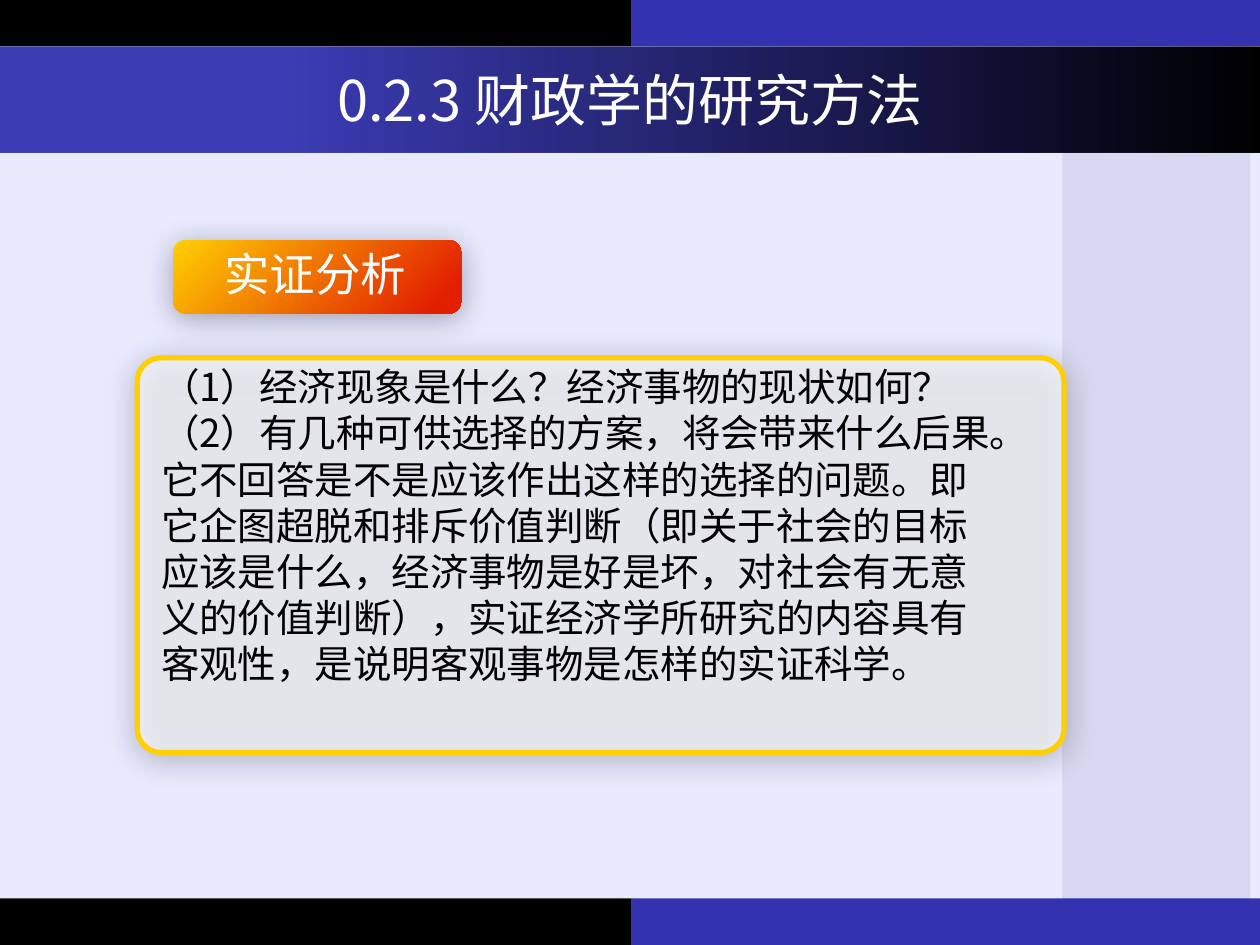
from dataclasses import dataclass

from lxml import etree
from pptx import Presentation
from pptx.dml.color import RGBColor
from pptx.enum.shapes import MSO_SHAPE
from pptx.enum.text import MSO_ANCHOR, PP_ALIGN
from pptx.oxml.ns import qn
from pptx.util import Pt

RECT = MSO_SHAPE.RECTANGLE
ROUND = MSO_SHAPE.ROUNDED_RECTANGLE
MIDDLE = MSO_ANCHOR.MIDDLE
TOP = MSO_ANCHOR.TOP
CENTER = PP_ALIGN.CENTER
LEFT = PP_ALIGN.LEFT

FONT = "Noto Sans CJK SC"
BLACK, WHITE = "000000", "FFFFFF"
BLUE, YELLOW, RED = "3333B2", "FFCF01", "E22000"
W, H = 720, 540
BAR_H = 26.6
SPLIT = 360.7


@dataclass
class Box:
    x: float
    y: float
    w: float
    h: float

    def lengths(self):
        return [Pt(v) for v in (self.x, self.y, self.w, self.h)]


@dataclass
class Panel:
    box: Box
    color: str


def rgb(color: str) -> RGBColor:
    return RGBColor.from_string(color)


def add_panel(slide, panel: Panel, kind=RECT, radius=None):
    sp = slide.shapes.add_shape(kind, *panel.box.lengths())
    sp.shadow.inherit = False
    sp.fill.solid()
    sp.fill.fore_color.rgb = rgb(panel.color)
    sp.line.fill.background()
    if radius is not None:
        sp.adjustments[0] = radius
    return sp


def set_alpha(clr, percent: int):
    etree.SubElement(clr, qn("a:alpha"), val=str(percent * 1000))


def set_gradient(sp, stops, angle: float):
    sp.fill.gradient()
    sp.fill.gradient_angle = angle
    for stop, (position, color) in zip(sp.fill.gradient_stops, stops):
        stop.position = position
        stop.color.rgb = rgb(color)


def add_shadow(sp):
    effects = sp._element.spPr.find(qn("a:effectLst"))
    shadow = etree.SubElement(
        effects, qn("a:outerShdw"), blurRad=str(Pt(17.8)), dist=str(Pt(3)),
        dir=str(87 * 60000), algn="ctr", rotWithShape="0")
    set_alpha(etree.SubElement(shadow, qn("a:srgbClr"), val=BLACK), 33)


def write(tf, text: str, *, size: float, color: str, align=LEFT, anchor=TOP, spacing=None):
    tf.word_wrap = True
    tf.vertical_anchor = anchor
    for i, line in enumerate(text.split("\n")):
        p = tf.paragraphs[0] if i == 0 else tf.add_paragraph()
        p.alignment = align
        if spacing:
            p.line_spacing = Pt(spacing)
        r = p.add_run()
        r.text = line
        r.font.size = Pt(size)
        r.font.name = FONT
        r.font.color.rgb = rgb(color)
        etree.SubElement(r.font._element, qn("a:ea"), typeface=FONT)


def add_text(slide, box: Box, text: str, **fmt):
    write(slide.shapes.add_textbox(*box.lengths()).text_frame, text, **fmt)


def add_title(slide, box: Box, text: str):
    sp = slide.shapes.title
    sp.left, sp.top, sp.width, sp.height = box.lengths()
    set_gradient(sp, [(0.22, BLUE), (1, BLACK)], 0)
    set_alpha(sp._element.spPr.find(".//" + qn("a:srgbClr")), 94)
    write(sp.text_frame, text, size=32, color=WHITE, align=CENTER, anchor=MIDDLE)
    slide.shapes._spTree.append(sp._element)


def main():
    prs = Presentation()
    prs.slide_width, prs.slide_height = Pt(W), Pt(H)
    slide = prs.slides.add_slide(prs.slide_layouts[5])

    add_panel(slide, Panel(Box(0, BAR_H, W, H - 2 * BAR_H), "EAEAFF"))
    add_panel(slide, Panel(Box(607, 34, 107.5, 485), "D8D8F0"))
    for y in (0, H - BAR_H):
        add_panel(slide, Panel(Box(0, y, SPLIT, BAR_H), BLACK))
        add_panel(slide, Panel(Box(SPLIT, y, W - SPLIT, BAR_H), BLUE))

    add_title(slide, Box(0, BAR_H, W, 60.6), "0.2.3 财政学的研究方法")

    card = add_panel(slide, Panel(Box(78.5, 204.5, 529.5, 225.5), WHITE), ROUND, 0.06)
    set_alpha(card._element.spPr.find(".//" + qn("a:srgbClr")), 60)
    card.line.color.rgb = rgb(YELLOW)
    card.line.width = Pt(3)
    add_shadow(card)

    label = add_panel(slide, Panel(Box(99, 137.2, 164.5, 42), YELLOW), ROUND)
    set_gradient(label, [(0, YELLOW), (0.9, RED)], 315)
    add_shadow(label)

    add_text(
        slide, Box(85, 204, 493, 194),
        "（1）经济现象是什么？经济事物的现状如何？\n"
        "（2）有几种可供选择的方案，将会带来什么后果。它不回答是不是应该作出这样的选择的问题。"
        "即它企图超脱和排斥价值判断（即关于社会的目标应该是什么，经济事物是好是坏，"
        "对社会有无意义的价值判断），实证经济学所研究的内容具有客观性，是说明客观事物是怎样的实证科学。",
        size=22, color=BLACK, spacing=26.4)
    add_text(slide, Box(121, 137, 181, 39), "实证分析", size=26, color=WHITE, spacing=31)

    prs.save("out.pptx")


if __name__ == "__main__":
    main()
